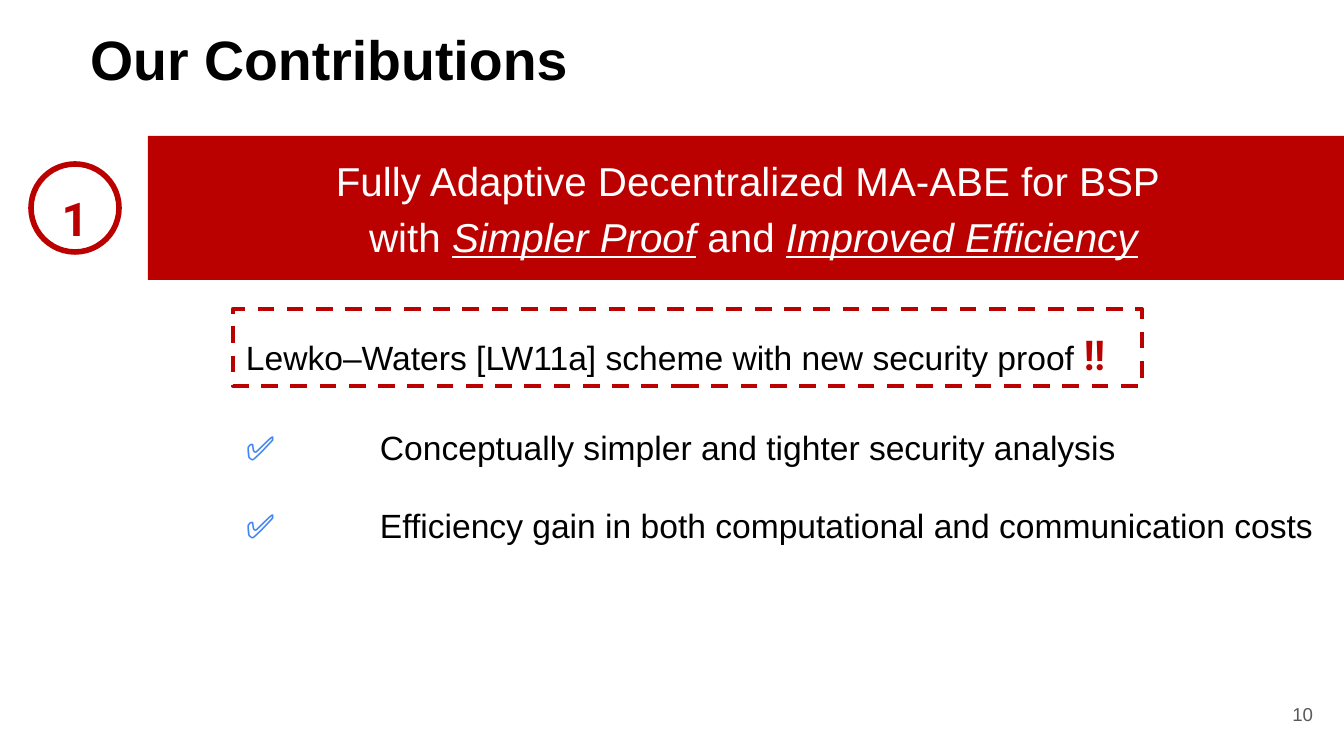
from pptx import Presentation
from pptx.dml.color import RGBColor
from pptx.enum.dml import MSO_LINE
from pptx.enum.shapes import MSO_SHAPE
from pptx.enum.text import MSO_ANCHOR, MSO_AUTO_SIZE, PP_ALIGN
from pptx.util import Emu, Pt
from lxml import etree

RECT, OVAL = MSO_SHAPE.RECTANGLE, MSO_SHAPE.OVAL
LEFT, CENTER, RIGHT = PP_ALIGN.LEFT, PP_ALIGN.CENTER, PP_ALIGN.RIGHT
TOP, MIDDLE = MSO_ANCHOR.TOP, MSO_ANCHOR.MIDDLE
NO_FIT = MSO_AUTO_SIZE.NONE
DASH = MSO_LINE.DASH

A_NS = "{http://schemas.openxmlformats.org/drawingml/2006/main}"
EMU_PER_PX = 914400 / 134.4
INSET = 13
HANG = 134
COLORS = {
    "red": "BB0000",
    "black": "000000",
    "white": "FFFFFF",
    "blue": "4285F4",
    "gray": "595959",
}
TITLE = {"size": Pt(29.7), "name": "Arial", "color": "black", "bold": True}
BANNER = {"size": Pt(21.6), "name": "Arial", "color": "white"}
STRESSED = {**BANNER, "italic": True, "underline": True}
BODY = {"size": Pt(18), "name": "Arial", "color": "black", "bold": False}
CHECK = {**BODY, "color": "blue", "bold": True}
ALERT = {"size": Pt(22), "name": "Roboto Condensed", "color": "red", "bold": True}
BADGE = {"size": Pt(25), "name": "Roboto", "color": "red", "bold": True}
PAGE = {"size": Pt(10), "name": "Arial", "color": "gray"}


def px(n):
    return Emu(round(n * EMU_PER_PX))


def rgb(name):
    return RGBColor.from_string(COLORS[name])


def place(sp, box):
    for attr, n in zip(("left", "top", "width", "height"), box):
        setattr(sp, attr, px(n))


def write(sp, paragraphs, anchor=TOP, **layout):
    tf = sp.text_frame
    frame = {"word_wrap": True, "auto_size": NO_FIT, "vertical_anchor": anchor}
    frame.update({f"margin_{side}": px(INSET) for side in ("left", "top", "right", "bottom")})
    for attr, value in frame.items():
        setattr(tf, attr, value)
    for i, runs in enumerate(paragraphs):
        p = tf.add_paragraph() if i else tf.paragraphs[0]
        for attr, value in layout.items():
            setattr(p, attr, value)
        for text, fmt in runs:
            r = p.add_run()
            r.text = text
            for attr, value in fmt.items():
                if attr == "color":
                    r.font.color.rgb = rgb(value)
                else:
                    setattr(r.font, attr, value)
    return tf


def add_text(slide, box, paragraphs, **layout):
    sp = slide.shapes.add_textbox(*map(px, box))
    write(sp, paragraphs, **layout)


def add_box(slide, kind, box, fill=None, line=None, width=0, dash=None):
    sp = slide.shapes.add_shape(kind, *map(px, box))
    sp.shadow.inherit = False
    if fill:
        sp.fill.solid()
        sp.fill.fore_color.rgb = rgb(fill)
    else:
        sp.fill.background()
    if line:
        sp.line.color.rgb = rgb(line)
        sp.line.width = Pt(width)
        sp.line.dash_style = dash
    else:
        sp.line.fill.background()
    return sp


def fill_title(slide, text):
    sp = slide.shapes.title
    place(sp, (77, 12, 1267, 81))
    write(sp, [[(text, TITLE)]], alignment=LEFT)


def fill_checklist(slide, items):
    sp = slide.placeholders[1]
    place(sp, (233, 414, 1111, 146))
    rows = [[("✅", CHECK), ("\t", BODY), (item, BODY)] for item in items]
    tf = write(sp, rows, alignment=LEFT, space_before=Pt(0))
    for i, p in enumerate(tf.paragraphs):
        p.space_before = Pt(20 if i else 0)
        pPr = p._p.get_or_add_pPr()
        pPr.set("marL", str(px(HANG)))
        pPr.set("indent", str(-px(HANG)))
        etree.SubElement(pPr, A_NS + "buNone")


def main():
    prs = Presentation()
    prs.slide_width, prs.slide_height = px(1344), px(756)
    slide = prs.slides.add_slide(prs.slide_layouts[1])

    fill_title(slide, "Our Contributions")
    add_box(slide, OVAL, (31, 164, 88, 88), line="red", width=3)
    add_text(slide, (43, 168, 64, 83), [[("1", BADGE)]],
             alignment=CENTER, line_spacing=1.15, space_after=Pt(16))

    banner = add_box(slide, RECT, (148, 136, 1211, 144), fill="red")
    write(banner, [
        [("Fully Adaptive Decentralized MA-ABE for BSP ", BANNER)],
        [("with ", BANNER), ("Simpler Proof", STRESSED),
         (" and ", BANNER), ("Improved Efficiency", STRESSED)],
    ], alignment=CENTER, line_spacing=1.15)

    fill_checklist(slide, [
        "Conceptually simpler and tighter security analysis",
        "Efficiency gain in both computational and communication costs",
    ])

    scheme = add_box(slide, RECT, (233, 309, 909, 77), line="red", width=2.25, dash=DASH)
    write(scheme, [[("Lewko–Waters [LW11a] scheme with new security proof ", BODY),
                    ("!!", ALERT)]], alignment=LEFT, line_spacing=1.15)

    add_text(slide, (1246, 685, 80, 58), [[("10", PAGE)]], anchor=MIDDLE, alignment=RIGHT)
    prs.save("out.pptx")


if __name__ == "__main__":
    main()
